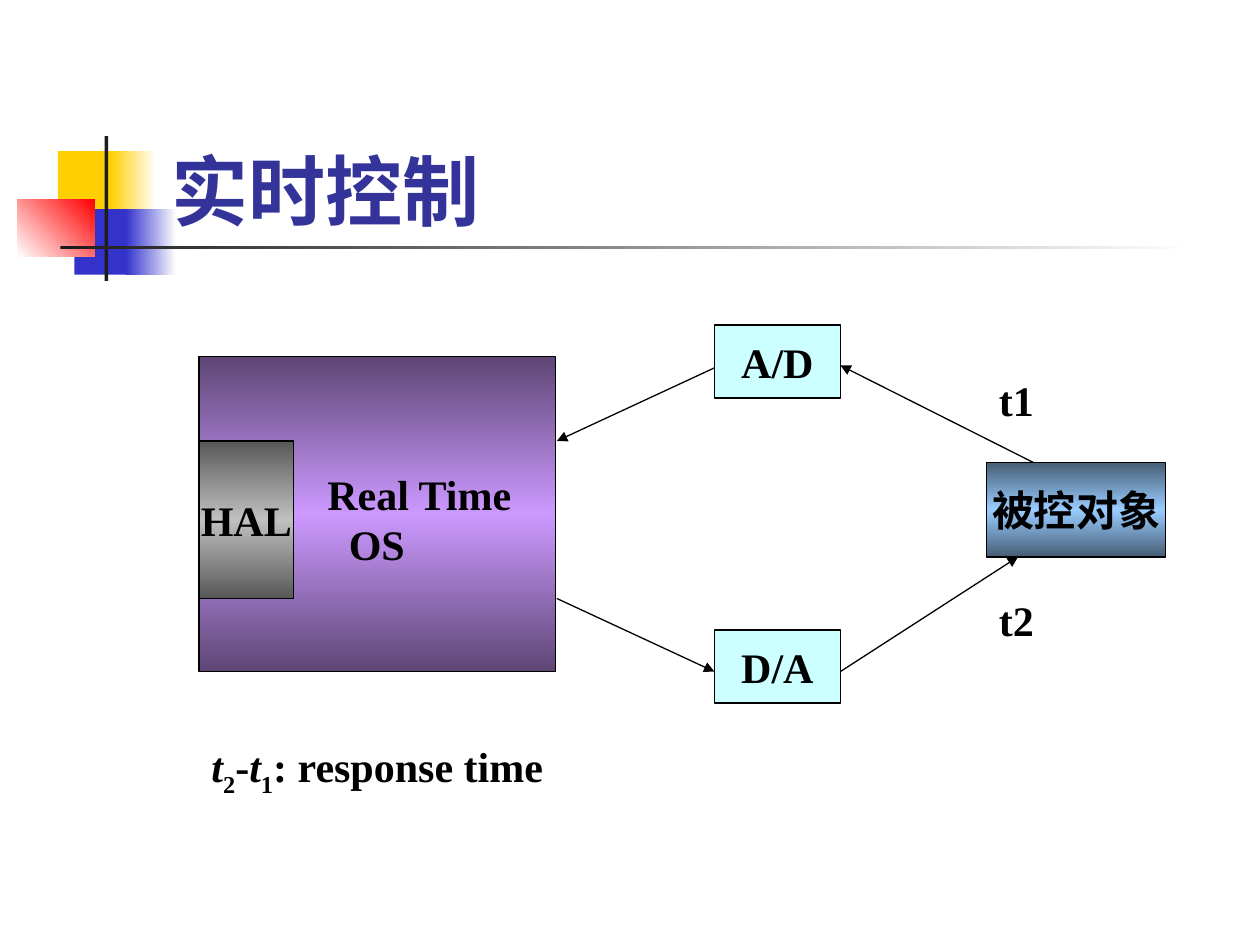
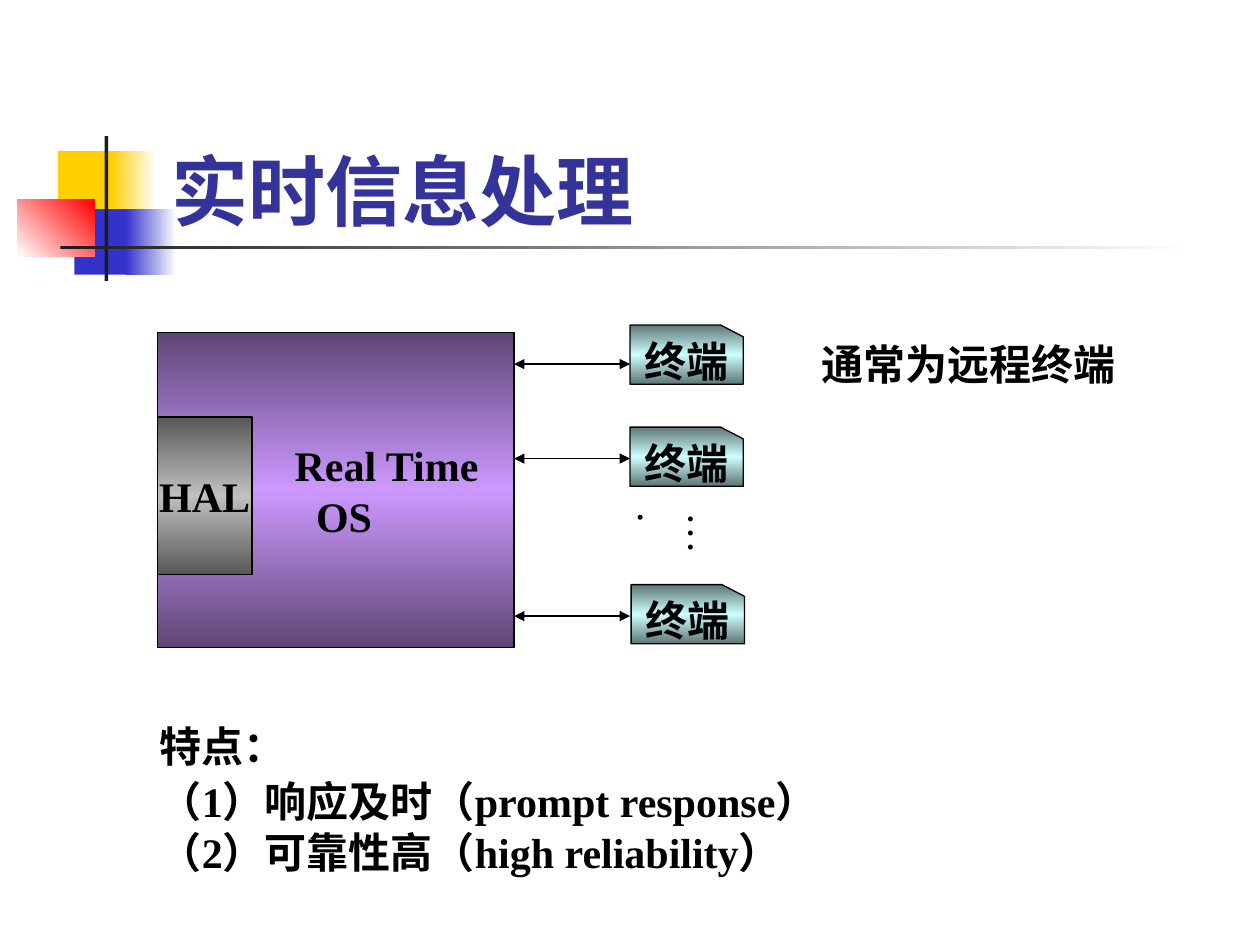
from lxml import etree
from pptx import Presentation
from pptx.dml.color import RGBColor
from pptx.enum.shapes import MSO_CONNECTOR as Connector, MSO_SHAPE as Shape
from pptx.enum.text import MSO_ANCHOR as Anchor, MSO_AUTO_SIZE as AutoSize, PP_ALIGN as Align
from pptx.oxml.ns import qn
from pptx.util import Inches, Pt

# Colours and fonts
BLACK = RGBColor(0x00, 0x00, 0x00)
WHITE = RGBColor(0xFF, 0xFF, 0xFF)
INK = RGBColor(0x1C, 0x1C, 0x1C)
YELLOW = RGBColor(0xFF, 0xCF, 0x01)
BLUE = RGBColor(0x33, 0x33, 0xCC)
RED = RGBColor(0xFF, 0x00, 0x00)
TITLE_BLUE = RGBColor(0x33, 0x33, 0x99)
AQUA, DARK_AQUA = RGBColor(0xCC, 0xFF, 0xFF), RGBColor(0x5E, 0x75, 0x75)
PURPLE, DARK_PURPLE = RGBColor(0xCC, 0x99, 0xFF), RGBColor(0x5E, 0x46, 0x75)
GREY, DARK_GREY = RGBColor(0xC0, 0xC0, 0xC0), RGBColor(0x58, 0x58, 0x58)
SKY, DARK_SKY = RGBColor(0x99, 0xCC, 0xFF), RGBColor(0x46, 0x5E, 0x75)
TITLE_FONT, BODY_FONT = "Cabin", "Times New Roman"
LINE_WIDTH = Pt(0.74)

# Shared decoration: place, colours, gradient angle
DECORATION = [
    ((0.46, 1.2, 0.48, 0.52), [YELLOW], 0),
    ((0.88, 1.2, 0.36, 0.52), [YELLOW, WHITE], 0),
    ((0.59, 1.66, 0.46, 0.52), [BLUE], 0),
    ((1, 1.66, 0.4, 0.52), [BLUE, WHITE], 0),
    ((0.14, 1.58, 0.61, 0.46), [WHITE, RED], 315),
    ((0.83, 1.08, 0.03, 1.15), [INK], 0),
    ((0.48, 1.95, 9, 0.03), [INK, WHITE], 0),
]
TITLE_PLACE = (1.26, 0.67, 8.52, 1.25)

# Slide 1: control loop
CONTROL_TITLE = "实时控制"
CONTROL_BOXES = [
    ("被控对象", (7.83, 3.67, 1.42, 0.75), [DARK_SKY, SKY, DARK_SKY]),
    ("A/D", (5.67, 2.58, 1, 0.58), [AQUA]),
    ("D/A", (5.67, 5, 1, 0.58), [AQUA]),
]
CONTROL_ARROWS = [
    ((8.2, 3.67), (6.67, 2.9)),
    ((6.67, 5.33), (8.08, 4.42)),
    ((5.67, 2.92), (4.42, 3.5)),
    ((4.42, 4.75), (5.67, 5.33)),
]
TIME_LABELS = [("t1", (7.83, 2.92, 0.5, 0.5)), ("t2", (7.83, 4.67, 0.58, 0.5))]
ITALIC, SUBSCRIPT = {"italic": True}, {"subscript": True}
RESPONSE_TIME = [("t", ITALIC), ("2", SUBSCRIPT), ("-", {}),
                 ("t", ITALIC), ("1", SUBSCRIPT), (": response time", {})]

# Slide 2: terminals
TERMINAL_TITLE = "实时信息处理"
TERMINAL = "终端"
TERMINAL_PLACES = [(5, 2.58), (5, 3.39), (5.01, 4.64)]
LINK_HEIGHTS = [2.89, 3.64, 4.89]
REMOTE_NOTE = "通常为远程终端"
FEATURES = ["特点：", "（1）响应及时（prompt response）", "（2）可靠性高（high reliability）"]


def write(frame, paragraphs, font=BODY_FONT, size=24, color=BLACK, bold=True,
          align=Align.LEFT, before=0, hanging=0):
    """Fill a frame; a paragraph is a string or a list of (text, style) spans."""
    for index, content in enumerate(paragraphs):
        para = frame.paragraphs[0] if index == 0 else frame.add_paragraph()
        para.alignment = align
        para.space_before = Pt(before)
        if hanging:
            properties = para._p.get_or_add_pPr()
            properties.set("marL", str(Inches(hanging)))
            properties.set("indent", str(-Inches(hanging)))
        spans = [(content, {})] if isinstance(content, str) else content
        for text, style in spans:
            span = para.add_run()
            span.text = text
            span.font.name, span.font.size = font, Pt(size)
            span.font.bold, span.font.color.rgb = bold, color
            if style.get("italic"):
                span.font.italic = True
            if style.get("subscript"):
                span.font._element.set("baseline", "-25000")


def paint(shape, colors, angle=90):
    """Solid fill for one colour, evenly spaced gradient for more."""
    shape.fill.solid()
    shape.fill.fore_color.rgb = colors[0]
    if len(colors) == 1:
        return
    solid = shape.element.spPr.find(qn("a:solidFill"))
    gradient = etree.Element(qn("a:gradFill"), rotWithShape="1")
    stops = etree.SubElement(gradient, qn("a:gsLst"))
    for index, color in enumerate(colors):
        position = 100000 * index // (len(colors) - 1)
        stop = etree.SubElement(stops, qn("a:gs"), pos=str(position))
        etree.SubElement(stop, qn("a:srgbClr"), val=str(color))
    etree.SubElement(gradient, qn("a:lin"), ang=str(angle * 60000), scaled="0")
    solid.getparent().replace(solid, gradient)


def add_box(page, place, colors, label=None, kind=Shape.RECTANGLE, angle=90, outlined=True):
    box = page.shapes.add_shape(kind, *map(Inches, place))
    box.shadow.inherit = False
    paint(box, colors, angle)
    if outlined:
        box.line.color.rgb = BLACK
        box.line.width = LINE_WIDTH
    else:
        box.line.fill.background()
    if label:
        box.text_frame.word_wrap = False
        box.text_frame.vertical_anchor = Anchor.MIDDLE
        write(box.text_frame, [label], align=Align.CENTER)
    return box


def add_label(page, place, paragraphs, **style):
    box = page.shapes.add_textbox(*map(Inches, place))
    frame = box.text_frame
    frame.word_wrap = True
    frame.auto_size = AutoSize.SHAPE_TO_FIT_TEXT
    write(frame, paragraphs, **{"before": 15, **style})
    return frame


def add_arrow(page, start, end, ends=("tailEnd",)):
    arrow = page.shapes.add_connector(Connector.STRAIGHT, *map(Inches, start + end))
    arrow.line.color.rgb = BLACK
    arrow.line.width = LINE_WIDTH
    outline = arrow.line._get_or_add_ln()
    for name in ends:
        etree.SubElement(outline, qn("a:" + name), type="triangle")
    etree.SubElement(arrow.element.spPr, qn("a:effectLst"))


def add_system(page, left, top, label_left, label_top):
    """The operating system block with its hardware layer."""
    add_box(page, (left, top, 2.83, 2.5), [DARK_PURPLE, PURPLE, DARK_PURPLE])
    add_box(page, (left, top + 0.67, 0.75, 1.25), [DARK_GREY, GREY, DARK_GREY], "HAL")
    add_label(page, (label_left, label_top, 1.83, 0.9), ["Real Time OS"], hanging=0.17)


def add_page(title):
    page = deck.slides.add_slide(layout)
    write(page.shapes.title.text_frame, [title], font=TITLE_FONT, size=44, color=TITLE_BLUE)
    return page


# Shared layout
deck = Presentation()
deck.slide_width, deck.slide_height = Inches(10), Inches(7.5)
layout = deck.slide_layouts[5]
heading = layout.placeholders[0]
heading.left, heading.top, heading.width, heading.height = map(Inches, TITLE_PLACE)
heading.text_frame.vertical_anchor = Anchor.BOTTOM
heading.text_frame.auto_size = AutoSize.NONE

# Slide 1, whose decoration moves to the layout behind the title
control = add_page(CONTROL_TITLE)
for index, (place, colors, angle) in enumerate(DECORATION):
    box = add_box(control, place, colors, angle=angle, outlined=False)
    box.element.nvSpPr.cNvPr.set("id", str(20 + index))
    layout.element.cSld.spTree.insert(2 + index, box.element)

add_system(control, 1.58, 2.83, 2.5, 3.67)
for label, place, colors in CONTROL_BOXES:
    add_box(control, place, colors, label)
for start, end in CONTROL_ARROWS:
    add_arrow(control, start, end)
for label, place in TIME_LABELS:
    add_label(control, place, [label])
add_label(control, (1.58, 5.83, 7.92, 0.56), [RESPONSE_TIME])

# Slide 2
terminals = add_page(TERMINAL_TITLE)
add_system(terminals, 1.25, 2.64, 2.24, 3.44)
for height in LINK_HEIGHTS:
    add_arrow(terminals, (4.08, height), (5, height), ends=("headEnd", "tailEnd"))
dots = add_label(terminals, (5.25, 3.97, 0.6, 0.58), ["…."], bold=False)
dots._txBody.bodyPr.set("vert", "eaVert")
dots.margin_left = dots.margin_right = Inches(0.05)
dots.margin_top = dots.margin_bottom = Inches(0.1)
for left, top in TERMINAL_PLACES:
    card = add_box(terminals, (left, top, 0.9, 0.47), [DARK_AQUA, AQUA, DARK_AQUA],
                   TERMINAL, kind=Shape.FLOWCHART_CARD)
    card.element.spPr.xfrm.set("flipH", "1")
add_label(terminals, (6.42, 2.64, 2.75, 0.5), [REMOTE_NOTE])
features = add_label(terminals, (1.17, 5.67, 7.75, 1.32), FEATURES)
for para in features.paragraphs[1:]:
    para.line_spacing = 0.5

deck.save("out.pptx")
